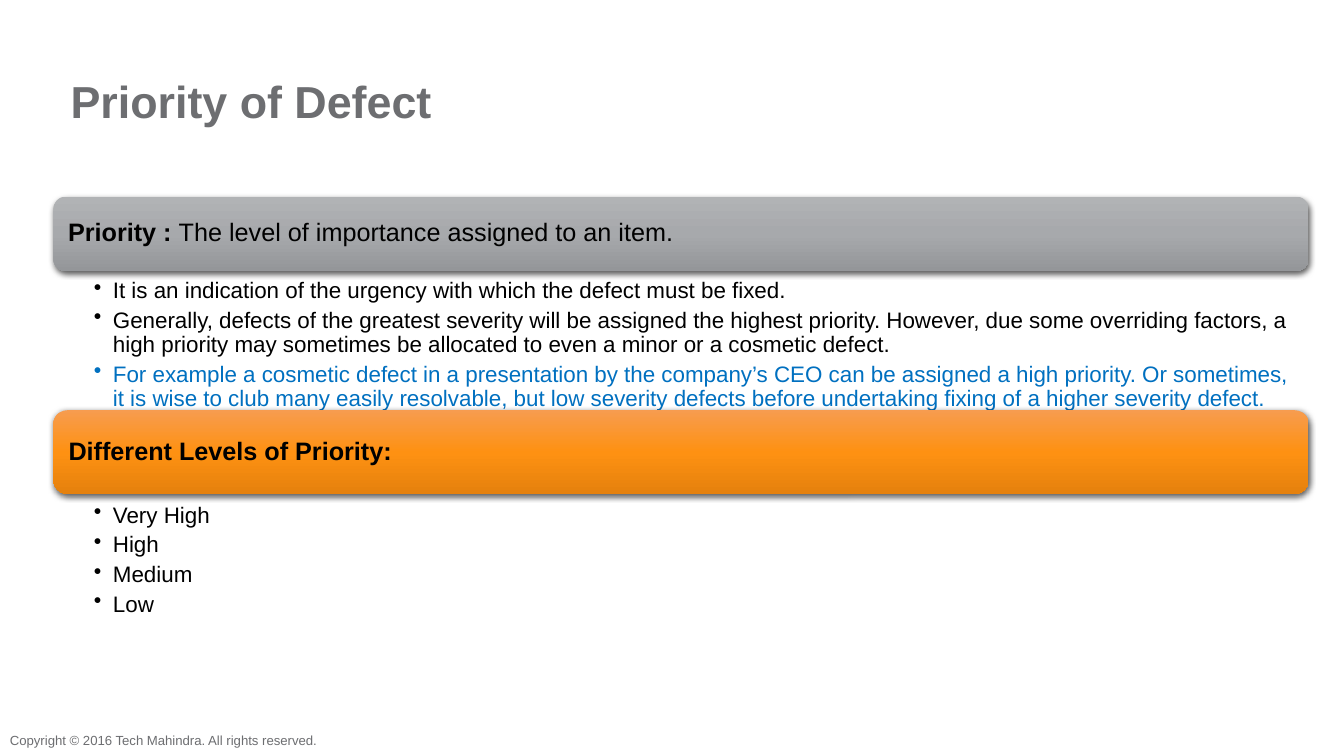
"""Build the slide on defect priority."""
import dataclasses

import pptx
import pptx.dml.color
import pptx.enum.shapes
import pptx.enum.text
import pptx.oxml
import pptx.oxml.ns
import pptx.util

Inches = pptx.util.Inches
FONT = "Arial"
BLACK, GREY, BLUE = "000000", "6D6E71", "0070C0"
LEFT, WIDTH = 0.53, 12.45
NAMESPACE = pptx.oxml.ns.nsdecls("a")
MIDDLE = pptx.enum.text.MSO_ANCHOR.MIDDLE
TOP = pptx.enum.text.MSO_ANCHOR.TOP


@dataclasses.dataclass(frozen=True)
class Run:
    text: str
    size: float
    color: str = BLACK
    bold: bool = False


@dataclasses.dataclass(frozen=True)
class Section:
    top: float
    height: float
    gradient: tuple[str, str, str]
    heading: list[Run]
    list_top: float
    list_height: float
    bullets: list[Run]


SECTIONS = [
    Section(1.95, 0.74, ("B1B3B5", "A7A9AC", "949699"),
            [Run("Priority : ", 18, bold=True),
             Run("The level of importance assigned to an item.", 18)],
            2.75, 1.32,
            [Run("It is an indication of the urgency with which the defect must be fixed.", 16),
             Run("Generally, defects of the greatest severity will be assigned the highest "
                 "priority. However, due some overriding factors, a high priority may "
                 "sometimes be allocated to even a minor or a cosmetic defect.", 16),
             Run("For example a cosmetic defect in a presentation by the company’s CEO can be "
                 "assigned a high priority. Or sometimes, it is wise to club many easily "
                 "resolvable, but low severity defects before undertaking fixing of a higher "
                 "severity defect.", 16, BLUE)]),
    Section(4.07, 0.83, ("F79C4F", "FE9112", "E5810D"),
            [Run("Different Levels of Priority:", 18, bold=True)],
            4.98, 1.18,
            [Run(level, 16) for level in ("Very High", "High", "Medium", "Low")]),
]


def rgb(color: str) -> pptx.dml.color.RGBColor:
    return pptx.dml.color.RGBColor.from_string(color)


def add_run(paragraph, run: Run) -> None:
    text_run = paragraph.add_run()
    text_run.text = run.text
    font = text_run.font
    font.name, font.size, font.bold = FONT, pptx.util.Pt(run.size), run.bold
    font.color.rgb = rgb(run.color)


def prepare_frame(shape, insets: tuple[float, float, float, float], anchor):
    frame = shape.text_frame
    frame.word_wrap = True
    frame.auto_size = pptx.enum.text.MSO_AUTO_SIZE.NONE
    frame.vertical_anchor = anchor
    frame.margin_left, frame.margin_top, frame.margin_right, frame.margin_bottom = map(
        Inches, insets)
    return frame


def write_line(frame, runs: list[Run], line_spacing: float) -> None:
    paragraph = frame.paragraphs[0]
    paragraph.alignment = pptx.enum.text.PP_ALIGN.LEFT
    paragraph.line_spacing = line_spacing
    for run in runs:
        add_run(paragraph, run)


def add_banner(slide, section: Section) -> None:
    shape = slide.shapes.add_shape(
        pptx.enum.shapes.MSO_SHAPE.ROUNDED_RECTANGLE,
        Inches(LEFT), Inches(section.top), Inches(WIDTH), Inches(section.height))
    shape.line.fill.background()
    shape.shadow.inherit = False
    properties = shape.element.spPr
    stops = "".join(f'<a:gs pos="{index * 50000}"><a:srgbClr val="{color}"/></a:gs>'
                    for index, color in enumerate(section.gradient))
    gradient = pptx.oxml.parse_xml(
        f'<a:gradFill {NAMESPACE} rotWithShape="1"><a:gsLst>{stops}</a:gsLst>'
        '<a:lin ang="5400000" scaled="0"/></a:gradFill>')
    properties.find(pptx.oxml.ns.qn("a:ln")).addprevious(gradient)
    shadow = pptx.oxml.parse_xml(
        f'<a:outerShdw {NAMESPACE} blurRad="{pptx.util.Pt(4.5)}" dist="{pptx.util.Pt(1.5)}" '
        'dir="5400000" rotWithShape="0"><a:srgbClr val="000000"><a:alpha val="63000"/>'
        '</a:srgbClr></a:outerShdw>')
    properties.find(pptx.oxml.ns.qn("a:effectLst")).append(shadow)
    write_line(prepare_frame(shape, (0.11, 0.07, 0.11, 0.07), MIDDLE), section.heading, 0.9)


def add_bullets(slide, section: Section) -> None:
    box = slide.shapes.add_textbox(Inches(LEFT), Inches(section.list_top),
                                   Inches(WIDTH), Inches(section.list_height))
    frame = prepare_frame(box, (0.4, 0.02, 0.12, 0.02), TOP)
    for index, run in enumerate(section.bullets):
        paragraph = frame.add_paragraph() if index else frame.paragraphs[0]
        properties = paragraph._p.get_or_add_pPr()
        properties.set("marL", str(Inches(0.19)))
        properties.set("indent", str(Inches(-0.19)))
        properties.append(pptx.oxml.parse_xml(f'<a:buChar {NAMESPACE} char="•"/>'))
        paragraph.line_spacing = 0.9
        paragraph.space_after = pptx.util.Pt(3.9)
        add_run(paragraph, run)


def main() -> None:
    presentation = pptx.Presentation()
    presentation.slide_width, presentation.slide_height = Inches(13.33), Inches(7.5)
    slide = presentation.slides.add_slide(presentation.slide_layouts.get_by_name("Title Only"))

    title = slide.shapes.title
    title.left, title.top = Inches(0.7), Inches(0.79)
    title.width, title.height = Inches(11.99), Inches(0.54)
    write_line(prepare_frame(title, (0, 0, 0, 0), TOP),
               [Run("Priority of Defect", 32, GREY, True)], 0.9)

    for section in SECTIONS:
        add_banner(slide, section)
        add_bullets(slide, section)

    footer = slide.shapes.add_textbox(0, Inches(7.23), Inches(3.33), Inches(0.23))
    write_line(prepare_frame(footer, (0.1, 0.05, 0.1, 0.05), MIDDLE),
               [Run("Copyright © 2016 Tech Mahindra. All rights reserved.", 9.4, GREY)], 1.0)

    presentation.save("out.pptx")


if __name__ == "__main__":
    main()
